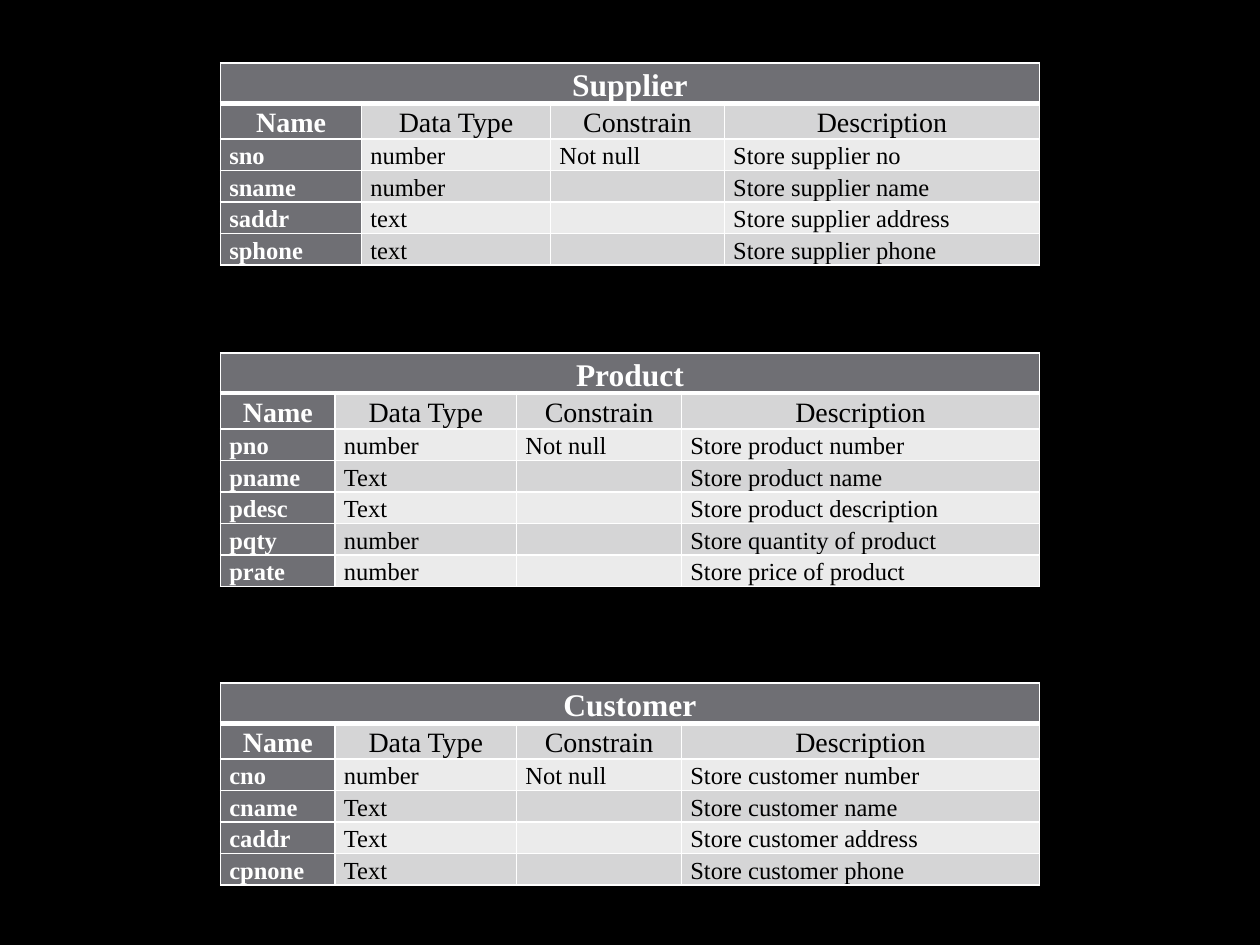
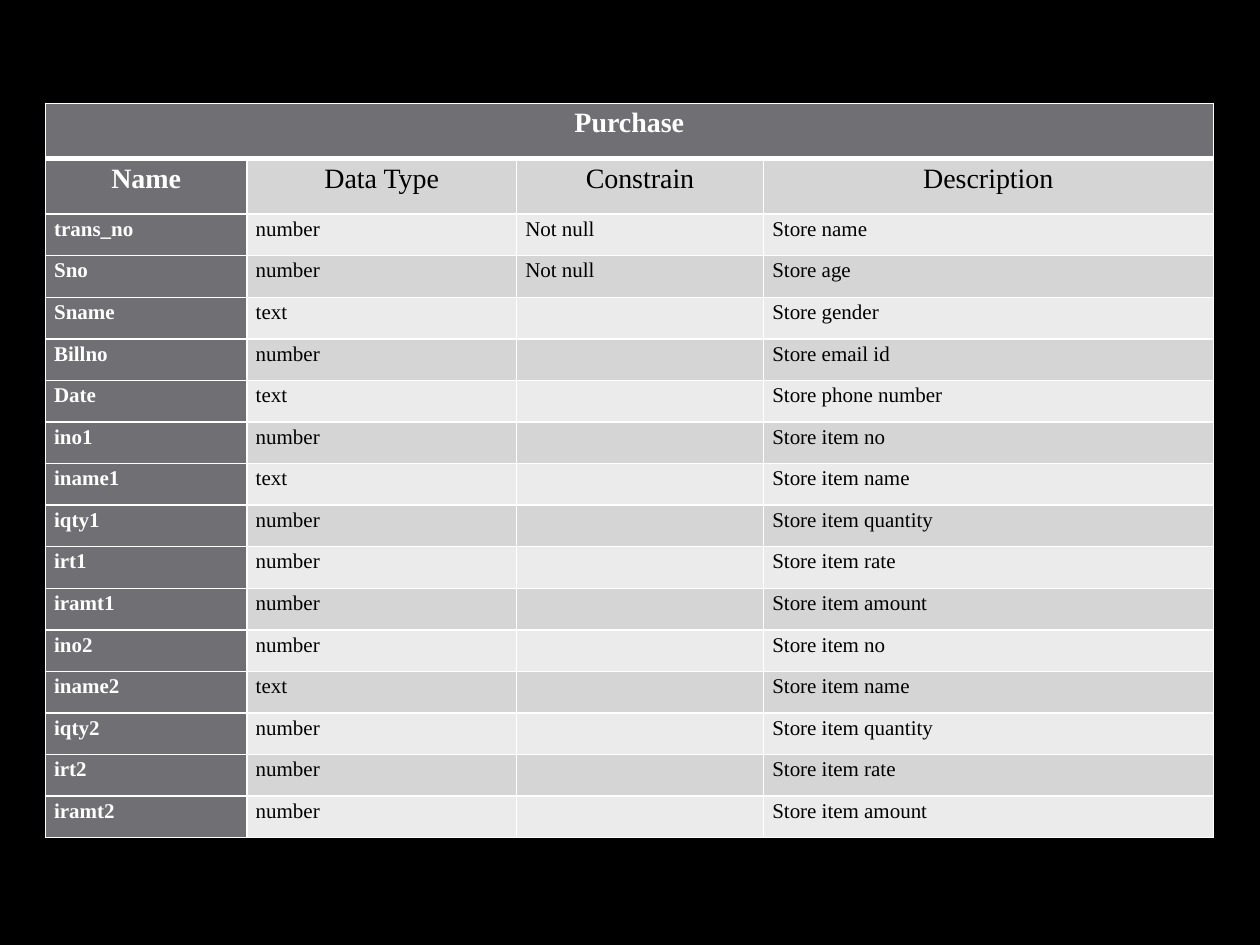
"""Build two slides of database table definitions."""
from lxml import etree
from pptx import Presentation
from pptx.dml.color import RGBColor
from pptx.enum import text
from pptx.oxml import ns
from pptx.util import Inches, Pt

COLORS = {"background": "000000", "dark": "6F6F74", "band": "D5D5D6",
          "light": "EBEBEB", "border": "FFFFFF", "head_text": "FFFFFF",
          "body_text": "000000"}
FONT = "Times New Roman"
HEADINGS = ("Name", "Data Type", "Constrain", "Description")
COMPACT = {"heights": (0.32, 0.28, 0.25), "sizes": (18, 16, 14)}
ROOMY = {"heights": (0.44, 0.44, 0.33), "sizes": (16, 16, 12)}

SUPPLIER = [
    ("sno", "number", "Not null", "Store supplier no"),
    ("sname", "number", "", "Store supplier name"),
    ("saddr", "text", "", "Store supplier address"),
    ("sphone", "text", "", "Store supplier phone"),
]
PRODUCT = [
    ("pno", "number", "Not null", "Store product number"),
    ("pname", "Text", "", "Store product name"),
    ("pdesc", "Text", "", "Store product description"),
    ("pqty", "number", "", "Store quantity of product"),
    ("prate", "number", "", "Store price of product"),
]
CUSTOMER = [
    ("cno", "number", "Not null", "Store customer number"),
    ("cname", "Text", "", "Store customer name"),
    ("caddr", "Text", "", "Store customer address"),
    ("cpnone", "Text", "", "Store customer phone"),
]
ITEM_FIELDS = [
    ("ino", "number", "no"),
    ("iname", "text", "name"),
    ("iqty", "number", "quantity"),
    ("irt", "number", "rate"),
    ("iramt", "number", "amount"),
]
PURCHASE = [
    ("trans_no", "number", "Not null", "Store name"),
    ("Sno", "number", "Not null", "Store age"),
    ("Sname", "text", "", "Store gender"),
    ("Billno", "number", "", "Store email id"),
    ("Date", "text", "", "Store phone number"),
] + [(f"{name}{item}", kind, "", f"Store item {meaning}")
     for item in (1, 2) for name, kind, meaning in ITEM_FIELDS]


def rgb(name):
    return RGBColor.from_string(COLORS[name])


def add_borders(cell, top, bottom):
    properties = cell._tc.get_or_add_tcPr()
    widths = {"lnL": 1, "lnR": 1, "lnT": top, "lnB": bottom}
    for position, (side, width) in enumerate(widths.items()):
        line = etree.Element(ns.qn(f"a:{side}"), w=str(Pt(width)))
        fill = etree.SubElement(line, ns.qn("a:solidFill"))
        etree.SubElement(fill, ns.qn("a:srgbClr"), val=COLORS["border"])
        properties.insert(position, line)


def write_cell(cell, value, size, is_head, centered):
    cell.margin_left = cell.margin_right = Inches(0.07)
    cell.margin_top = cell.margin_bottom = 0
    cell.text = value
    paragraph = cell.text_frame.paragraphs[0]
    paragraph.line_spacing = 1.15
    paragraph.alignment = text.PP_ALIGN.CENTER if centered else text.PP_ALIGN.LEFT
    font = paragraph.font
    font.name, font.size, font.bold = FONT, Pt(size), is_head
    font.color.rgb = rgb("head_text" if is_head else "body_text")
    if not value:
        etree.SubElement(paragraph._p, ns.qn("a:endParaRPr"), sz=str(size * 100))


def add_definition(slide, title, fields, left, top, widths, style):
    rows = [(title, "", "", ""), HEADINGS, *fields]
    heights = [style["heights"][min(index, 2)] for index in range(len(rows))]
    table = slide.shapes.add_table(
        len(rows), len(widths), Inches(left), Inches(top),
        Inches(sum(widths)), Inches(sum(heights))).table
    for column, width in zip(table.columns, widths):
        column.width = Inches(width)
    for row_index, values in enumerate(rows):
        table.rows[row_index].height = Inches(heights[row_index])
        size = style["sizes"][min(row_index, 2)]
        for column_index, value in enumerate(values):
            cell = table.cell(row_index, column_index)
            is_head = row_index == 0 or column_index == 0
            write_cell(cell, value, size, is_head, row_index < 2)
            cell.fill.solid()
            band = "band" if row_index % 2 else "light"
            cell.fill.fore_color.rgb = rgb("dark" if is_head else band)
            add_borders(cell, 3 if row_index == 1 else 1, 3 if row_index == 0 else 1)
    table.cell(0, 0).merge(table.cell(0, len(widths) - 1))


def add_dark_slide(presentation):
    slide = presentation.slides.add_slide(presentation.slide_layouts[6])
    slide.background.fill.solid()
    slide.background.fill.fore_color.rgb = rgb("background")
    return slide


def main():
    presentation = Presentation()
    presentation.slide_width, presentation.slide_height = Inches(10), Inches(7.5)

    slide = add_dark_slide(presentation)
    narrow_names = (0.91, 1.44, 1.31, 2.84)
    add_definition(slide, "Supplier", SUPPLIER, 1.75, 0.5, (1.12, 1.5, 1.38, 2.5), COMPACT)
    add_definition(slide, "Product", PRODUCT, 1.75, 2.8, narrow_names, COMPACT)
    add_definition(slide, "Customer", CUSTOMER, 1.75, 5.42, narrow_names, COMPACT)

    slide = add_dark_slide(presentation)
    add_definition(slide, "Purchase", PURCHASE, 0.36, 0.82, (1.6, 2.14, 1.96, 3.57), ROOMY)

    presentation.save("out.pptx")


if __name__ == "__main__":
    main()
